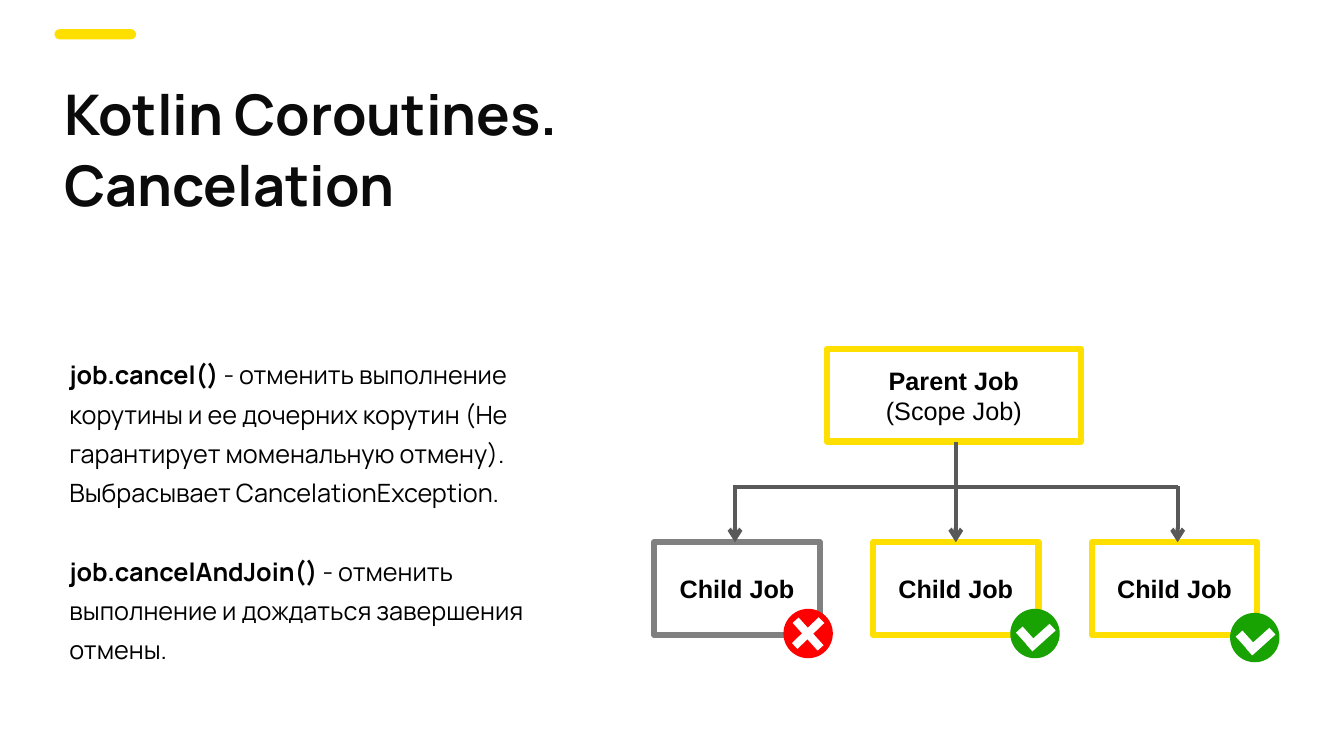
import pptx
import pptx.dml.color
import pptx.enum.shapes
import pptx.enum.text
import pptx.oxml.ns
import pptx.util
from lxml import etree

RGB = pptx.dml.color.RGBColor
SHAPE = pptx.enum.shapes.MSO_SHAPE
ALIGN = pptx.enum.text.PP_ALIGN
ANCHOR = pptx.enum.text.MSO_ANCHOR

YELLOW = RGB(0xFF, 0xDF, 0x00)
GRAY = RGB(0x80, 0x80, 0x80)
DARK = RGB(0x59, 0x59, 0x59)
INK = RGB(0x0B, 0x0B, 0x0B)
BLACK = RGB(0, 0, 0)
WHITE = RGB(0xFF, 0xFF, 0xFF)
RED = RGB(0xFF, 0, 0)
GREEN = RGB(0x18, 0xA3, 0x03)

PX = 9144  # 100 px to the inch


def scale(*sizes):
    return [pptx.util.Emu(size * PX) for size in sizes]


class Board:
    main = "Manrope"
    label = "Arial"

    def __init__(self, slide):
        self.slide = slide

    def fill(self, frame, paras, font, size, color, space=1.0, gap=0, align=ALIGN.LEFT):
        """Each paragraph is a list of (text, bold) runs."""
        frame.word_wrap = True
        for i, runs in enumerate(paras):
            para = frame.add_paragraph() if i else frame.paragraphs[0]
            para.alignment = align
            para.line_spacing = space
            para.space_before = pptx.util.Pt(gap if i else 0)
            for text, bold in runs:
                run = para.add_run()
                run.text = text
                run.font.name = font
                run.font.size = pptx.util.Pt(size)
                run.font.bold = bold
                run.font.color.rgb = color

    def text(self, box, paras, size, color, space, gap=0):
        frame = self.slide.shapes.add_textbox(*scale(*box)).text_frame
        self.fill(frame, paras, self.main, size, color, space, gap)

    def solid(self, kind, box, color, turn=0):
        shape = self.slide.shapes.add_shape(kind, *scale(*box))
        shape.shadow.inherit = False
        shape.fill.solid()
        shape.fill.fore_color.rgb = color
        shape.line.fill.background()
        shape.rotation = turn
        return shape

    def node(self, box, color, paras):
        shape = self.slide.shapes.add_shape(SHAPE.RECTANGLE, *scale(*box))
        shape.shadow.inherit = False
        shape.fill.background()
        shape.line.color.rgb = color
        shape.line.width = pptx.util.Pt(4.5)
        shape.text_frame.vertical_anchor = ANCHOR.MIDDLE
        self.fill(shape.text_frame, paras, self.label, 18, BLACK, align=ALIGN.CENTER)

    def line(self, ends, arrow=False):
        kind = pptx.enum.shapes.MSO_CONNECTOR.STRAIGHT
        link = self.slide.shapes.add_connector(kind, *scale(*ends))
        link.line.color.rgb = DARK
        link.line.width = pptx.util.Pt(3)
        props = link._element.spPr
        if arrow:
            stroke = props.find(pptx.oxml.ns.qn("a:ln"))
            etree.SubElement(stroke, pptx.oxml.ns.qn("a:tailEnd"), type="arrow")
        etree.SubElement(props, pptx.oxml.ns.qn("a:effectLst"))

    def badge(self, left, top, color, strokes):
        self.solid(SHAPE.OVAL, (left, top, 49, 49), color)
        for x, y, width, height, turn in strokes:
            self.solid(SHAPE.RECTANGLE, (left + x, top + y, width, height), WHITE, turn)


def main():
    deck = pptx.Presentation()
    deck.slide_width, deck.slide_height = scale(1333, 750)
    board = Board(deck.slides.add_slide(deck.slide_layouts[6]))

    # Heading with its accent bar
    board.text((54, 70, 731, 131), [[("Kotlin Coroutines. Cancelation", True)]], 40, INK, 1.06)
    accent = board.solid(SHAPE.ROUNDED_RECTANGLE, (54, 29, 81, 10), YELLOW)
    accent.adjustments[0] = 0.5

    # Explanation
    notes = [
        [("job.cancel()", True),
         (" - отменить выполнение корутины и ее дочерних корутин (Не гарантирует "
          "моменальную отмену). Выбрасывает CancelationException.", False)],
        [("job.cancelAndJoin()", True),
         (" - отменить выполнение и дождаться завершения отмены.", False)],
    ]
    board.text((59, 343, 508, 344), notes, 18, BLACK, 1.3, gap=28)

    # Job boxes
    board.node((820, 346, 252, 92), YELLOW,
               [[("Parent Job", True)], [("(Scope Job)", False)]])
    for i, color in enumerate((GRAY, YELLOW, YELLOW)):
        board.node((649 + 217 * i, 538, 164, 92), color, [[("Child Job", True)]])

    # State badges
    cross = [(6, 20, 37, 8, 316), (6, 21, 37, 8, 228)]
    check = [(5, 25, 24, 9, 228), (15, 24, 31, 9, 138)]
    board.badge(777, 604, RED, cross)
    board.badge(1002, 604, GREEN, check)
    board.badge(1220, 608, GREEN, check)

    # Links from parent to children
    for x, top in ((729, 482), (948, 439), (1168, 482)):
        board.line((x, top, x, 538), arrow=True)
    board.line((727, 483, 1168, 483))

    deck.save("out.pptx")


if __name__ == "__main__":
    main()
